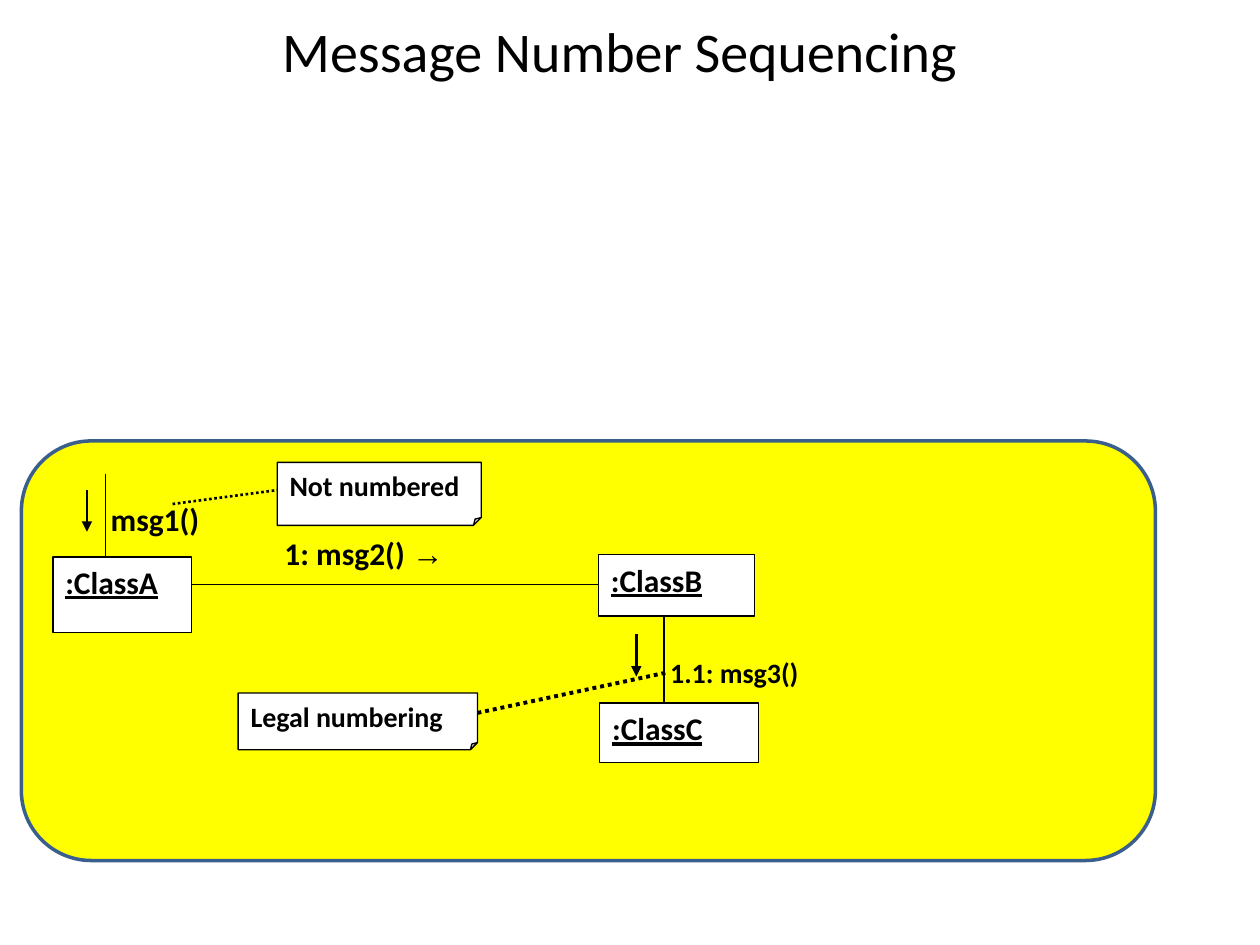
"""Build the Message Number Sequencing slide with its UML collaboration diagram."""
from lxml import etree
from pptx import Presentation
from pptx.dml.color import RGBColor
from pptx.enum import dml, shapes, text
from pptx.oxml.ns import qn
from pptx.util import Inches, Pt

BLACK = RGBColor(0x00, 0x00, 0x00)
WHITE = RGBColor(0xFF, 0xFF, 0xFF)
YELLOW = RGBColor(0xFF, 0xFF, 0x00)
BLUE = RGBColor(0x3A, 0x5F, 0x8C)
FONT = "Calibri"
RECTANGLE = shapes.MSO_SHAPE.RECTANGLE
NOTE = shapes.MSO_SHAPE.FOLDED_CORNER


def add_box(kind, box, fill, line, width):
    shape = slide.shapes.add_shape(kind, *map(Inches, box))
    shape.shadow.inherit = False
    shape.fill.solid()
    shape.fill.fore_color.rgb = fill
    shape.line.color.rgb = line
    shape.line.width = Pt(width)
    return shape


def write_label(shape, wording, size, underline=False):
    frame = shape.text_frame
    frame.word_wrap = True
    frame.vertical_anchor = text.MSO_ANCHOR.TOP
    paragraph = frame.paragraphs[0]
    paragraph.alignment = text.PP_ALIGN.LEFT
    paragraph.space_after = Pt(10)
    font = paragraph.font
    font.name, font.size, font.bold = FONT, Pt(size), True
    font.underline = underline
    font.color.rgb = BLACK
    paragraph.add_run().text = wording
    return paragraph


presentation = Presentation()
presentation.slide_width = Inches(10)
presentation.slide_height = Inches(7.5)
slide = presentation.slides.add_slide(presentation.slide_layouts[5])

title = slide.shapes.title
title.left, title.top, title.width, title.height = map(Inches, (1.42, 0.08, 7, 1.25))
title.text_frame.text = "Message Number Sequencing"
title.text_frame.vertical_anchor = text.MSO_ANCHOR.TOP
heading = title.text_frame.paragraphs[0]
heading.alignment = text.PP_ALIGN.CENTER
heading.font.name, heading.font.size = FONT, Pt(32)
heading.font.color.rgb = BLACK

add_box(shapes.MSO_SHAPE.ROUNDED_RECTANGLE, (0.17, 3.5, 9, 3.33), YELLOW, BLUE, 2)

boxes = [
    (RECTANGLE, (0.42, 4.42, 1.1, 0.6), ":ClassA", 18),
    (RECTANGLE, (4.75, 4.4, 1.24, 0.49), ":ClassB", 18),
    (RECTANGLE, (4.76, 5.58, 1.26, 0.47), ":ClassC", 18),
    (NOTE, (2.2, 3.67, 1.62, 0.5), "Not numbered", 16),
    (NOTE, (1.89, 5.5, 1.9, 0.45), "Legal numbering", 16),
]
for kind, box, wording, size in boxes:
    shape = add_box(kind, box, WHITE, BLACK, 0.75)
    if kind == NOTE:
        geometry = shape._element.spPr.find(qn("a:prstGeom"))
        geometry.set("prst", "foldedCorner")
        guides = geometry.find(qn("a:avLst"))
        etree.SubElement(guides, qn("a:gd"), name="adj", fmla="val 12500")
    write_label(shape, wording, size, underline=kind == RECTANGLE)

messages = [
    ((0.78, 3.92, 1.05, 0.42), "msg1()", 18, ""),
    ((2.16, 4.19, 1.97, 0.45), "1: msg2() ", 18, "→"),
    ((5.22, 5.15, 1.39, 0.36), "1.1: msg3()", 16, ""),
]
for box, wording, size, arrow in messages:
    message = slide.shapes.add_textbox(*map(Inches, box))
    paragraph = write_label(message, wording, size)
    if arrow:
        run = paragraph.add_run()
        run.text = arrow
        run.font.name = "Times New Roman"

lines = [
    ((1.52, 4.64, 4.75, 4.64), 0.75, "link"),
    ((0.84, 3.76, 0.84, 4.43), 0.75, "link"),
    ((5.27, 4.9, 5.27, 5.57), 0.75, "link"),
    ((0.69, 3.89, 0.69, 4.22), 1, "arrow"),
    ((5.05, 5.03, 5.05, 5.37), 1.5, "arrow"),
    ((1.37, 4, 2.2, 3.89), 1.5, "dotted"),
    ((5.28, 5.34, 3.78, 5.66), 2.25, "dotted"),
]
for ends, width, style in lines:
    connector = slide.shapes.add_connector(shapes.MSO_CONNECTOR.STRAIGHT, *map(Inches, ends))
    connector.line.color.rgb = BLACK
    connector.line.width = Pt(width)
    if style == "dotted":
        connector.line.dash_style = dml.MSO_LINE.ROUND_DOT
    if style == "arrow":
        etree.SubElement(connector.get_or_add_ln(), qn("a:tailEnd"), type="triangle")
    etree.SubElement(connector._element.spPr, qn("a:effectLst"))

presentation.save("out.pptx")
